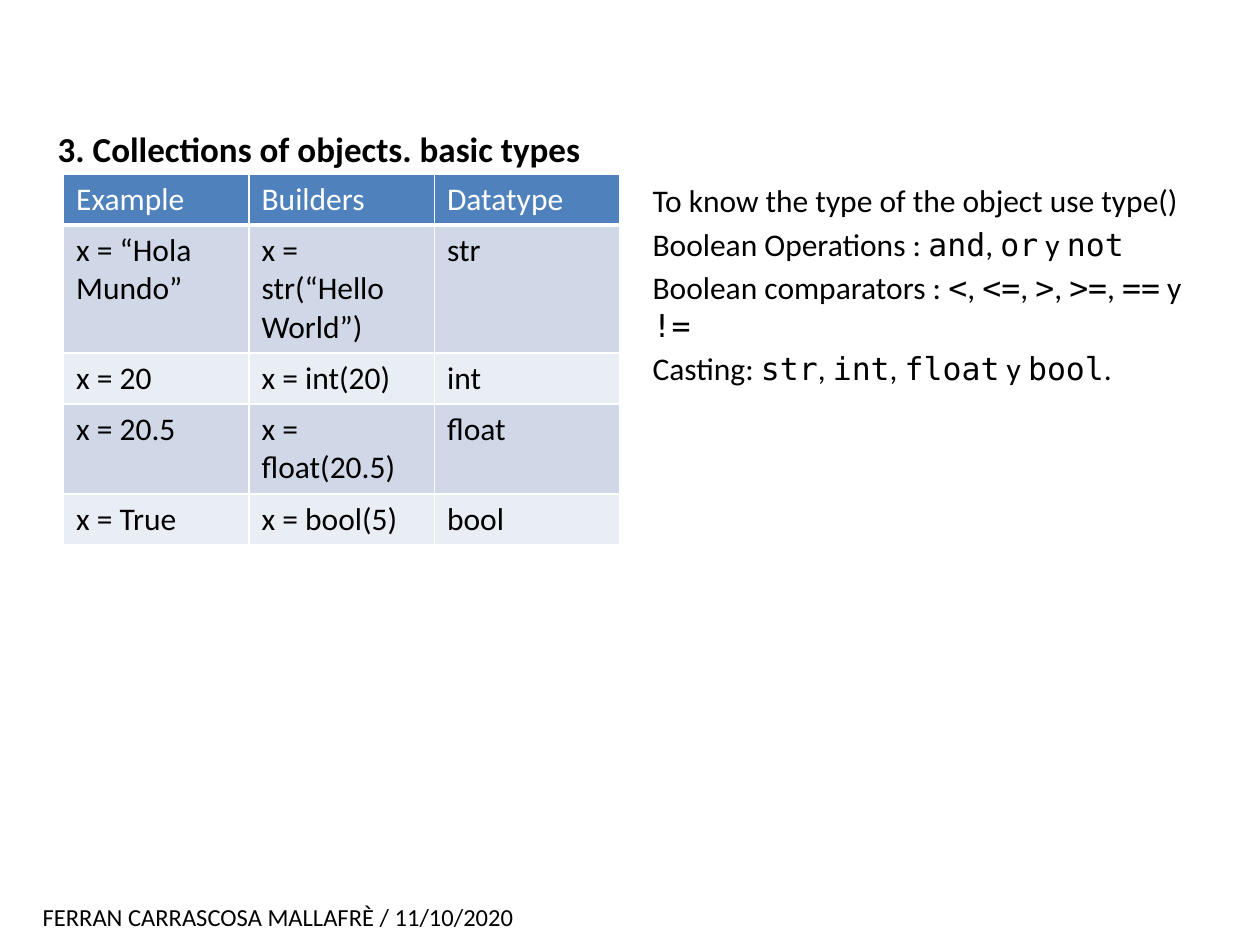
"""Build the slide on basic Python types, with a type table and operator notes."""
from lxml.etree import SubElement
from pptx import Presentation
from pptx.dml.color import RGBColor
from pptx.enum.text import MSO_ANCHOR
from pptx.oxml.ns import qn
from pptx.util import Pt

COLORS = {"text": "000000", "white": "FFFFFF", "header": "4F81BD",
          "odd": "D0D8E8", "even": "E9EDF4"}
SANS, MONO = "Calibri", "DejaVu Sans Mono"


def add_span(para, text, size=18, color="text", font=SANS, bold=False):
    span = para.add_run()
    span.text = text
    span.font.name = font
    span.font.size = Pt(size)
    span.font.bold = bold
    span.font.color.rgb = RGBColor.from_string(COLORS[color])


def add_border(cell, side, width):
    line = SubElement(cell._tc.get_or_add_tcPr(), qn(f"a:{side}"), w=str(Pt(width)))
    fill = SubElement(line, qn("a:solidFill"))
    SubElement(fill, qn("a:srgbClr"), val=COLORS["white"])


deck = Presentation()
deck.slide_width, deck.slide_height = Pt(720), Pt(540)
page = deck.slides.add_slide(deck.slide_layouts[6])

labels = [
    ("FERRAN CARRASCOSA MALLAFRÈ / 11/10/2020", 17.3, 511.9, 602, 24.5, 14, False, MSO_ANCHOR.TOP),
    ("3. Collections of objects. basic types", 25.9, 69.1, 669, 31.7, 20, True, MSO_ANCHOR.MIDDLE),
]
for text, left, top, width, height, size, bold, anchor in labels:
    box = page.shapes.add_textbox(Pt(left), Pt(top), Pt(width), Pt(height))
    box.text_frame.word_wrap = True
    box.text_frame.vertical_anchor = anchor
    add_span(box.text_frame.paragraphs[0], text, size, bold=bold)

type_rows = [
    ("Example", "Builders", "Datatype"),
    ("x = “Hola Mundo”", "x = str(“Hello World”)", "str"),
    ("x = 20", "x = int(20)", "int"),
    ("x = 20.5", "x = float(20.5)", "float"),
    ("x = True", "x = bool(5)", "bool"),
]
line_counts = [1, 3, 1, 2, 1]
row_heights = [7.2 + 22 * count for count in line_counts]
table = page.shapes.add_table(5, 3, Pt(36.3), Pt(99.4), Pt(318), Pt(sum(row_heights))).table
for column in table.columns:
    column.width = Pt(106)
for row, values in enumerate(type_rows):
    table.rows[row].height = Pt(row_heights[row])
    row_fill = "header" if row == 0 else "odd" if row % 2 else "even"
    for column, text in enumerate(values):
        cell = table.cell(row, column)
        for side in ("lnL", "lnR", "lnT", "lnB"):
            add_border(cell, side, 3 if row == 0 and side == "lnB" else 1)
        cell.fill.solid()
        cell.fill.fore_color.rgb = RGBColor.from_string(COLORS[row_fill])
        add_span(cell.text_frame.paragraphs[0], text, color="text" if row else "white")

notes = [
    ["To know the type of the object use type()"],
    ["Boolean Operations : ", "and", ", ", "or", " y ", "not"],
    ["Boolean comparators : ", "<", ", ", "<=", ", ", ">", ", ", ">=", ", ", "==", " y ", "!="],
    ["Casting: ", "str", ", ", "int", ", ", "float", " y ", "bool", "."],
]
box = page.shapes.add_textbox(Pt(365.8), Pt(100.1), Pt(318.2), Pt(382.3))
box.text_frame.word_wrap = True
for index, pieces in enumerate(notes):
    para = box.text_frame.add_paragraph() if index else box.text_frame.paragraphs[0]
    para.space_before = Pt(3.2)
    for position, text in enumerate(pieces):
        add_span(para, text, font=MONO if position % 2 else SANS)

deck.save("out.pptx")
